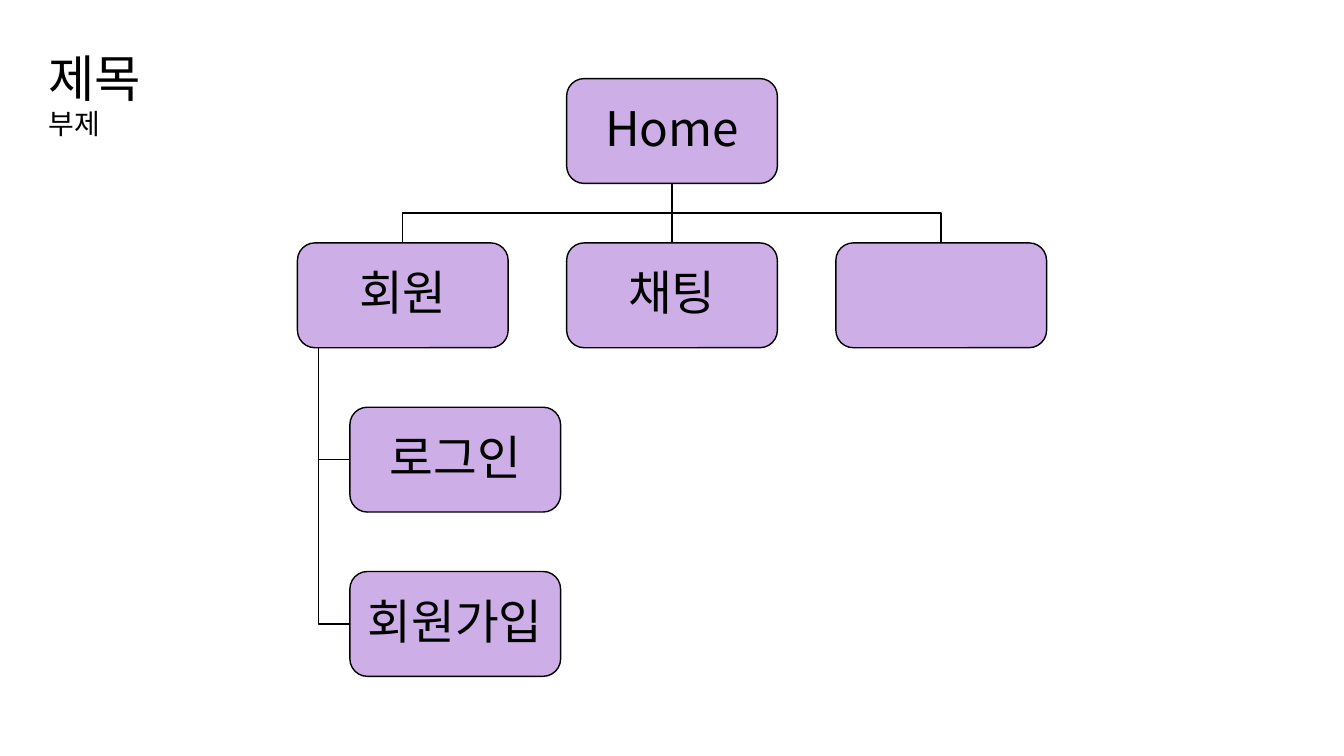
"""Build a sitemap slide with a home page, its sections and member pages."""
from pptx import Presentation
from pptx import util as u
from pptx.dml.color import RGBColor
from pptx.enum import shapes, text
from pptx.oxml import parse_xml
from pptx.oxml.ns import nsdecls


def color(value):
    """Turn a hex string into a colour."""
    return RGBColor.from_string(value)


def assign(target, values):
    """Set each attribute of target from a dict."""
    for name, value in values.items():
        setattr(target, name, value)


class Sitemap:
    """Hold the style and the slide, and draw its elements."""

    font = "Noto Sans CJK KR"
    ink, lilac = "000000", "CEAEE7"
    width, height = 2.09, 1.04
    left, top = 2.95, 0.78
    column, row, indent, stem = 2.67, 1.63, 0.52, 0.21

    def __init__(self, slide):
        """Keep the slide to draw on."""
        self.shapes = slide.shapes

    def place(self, column, row, indent=0):
        """Give the left and top of a grid cell."""
        return self.left + column * self.column + indent, self.top + row * self.row

    def label(self, shape, words, size, frame, paragraph):
        """Put one styled paragraph into a shape."""
        assign(shape.text_frame, {"word_wrap": True, **frame})
        line = shape.text_frame.paragraphs[0]
        assign(line, paragraph)
        run = line.add_run()
        run.text = words
        assign(run.font, {"size": u.Pt(size), "name": self.font})
        run.font.color.rgb = color(self.ink)
        latin = run.font._element.find("{*}latin")
        latin.addnext(parse_xml(f'<a:ea {nsdecls("a")} typeface="{self.font}"/>'))

    def heading(self, words, box, size, anchor, spacing):
        """Add a left-aligned heading."""
        heading = self.shapes.add_textbox(*map(u.Inches, box))
        self.label(heading, words, size, {"vertical_anchor": anchor}, {"line_spacing": spacing})

    def outline(self, shape):
        """Give a shape the thin dark line."""
        shape.line.color.rgb = color(self.ink)
        shape.line.width = u.Pt(1)

    def page(self, words, column, row, indent=0):
        """Add a rounded page box, with its name if it has one."""
        box = (*self.place(column, row, indent), self.width, self.height)
        page = self.shapes.add_shape(shapes.MSO_SHAPE.ROUNDED_RECTANGLE, *map(u.Inches, box))
        page.shadow.inherit = False
        page.fill.solid()
        page.fill.fore_color.rgb = color(self.lilac)
        self.outline(page)
        if words:
            sides = ("margin_left", "margin_top", "margin_right", "margin_bottom")
            frame = dict.fromkeys(sides, u.Inches(0.02))
            frame["vertical_anchor"] = text.MSO_ANCHOR.MIDDLE
            self.label(page, words, 34, frame,
                       {"alignment": text.PP_ALIGN.CENTER, "line_spacing": 0.9})

    def straight(self, start, end):
        """Add a straight connector."""
        link = self.shapes.add_connector(shapes.MSO_CONNECTOR.STRAIGHT,
                                         *map(u.Inches, (*start, *end)))
        self.outline(link)
        link._element.spPr.append(parse_xml(f'<a:effectLst {nsdecls("a")}/>'))

    def bent(self, *points):
        """Add an open line through the points."""
        start, *rest = [tuple(map(u.Inches, point)) for point in points]
        builder = self.shapes.build_freeform(*start)
        builder.add_line_segments(rest, close=False)
        link = builder.convert_to_shape()
        link.shadow.inherit = False
        link.fill.background()
        self.outline(link)

    def branch(self, column):
        """Link the home page to a section in the row below."""
        home_left, home_top = self.place(1, 0)
        section_left, section_top = self.place(column, 1)
        start = (home_left + self.width / 2, home_top + self.height)
        end = (section_left + self.width / 2, section_top)
        if column == 1:
            self.straight(start, end)
        else:
            middle = (start[1] + end[1]) / 2
            self.bent(start, (start[0], middle), (end[0], middle), end)

    def hang(self, row):
        """Link the member section to a page hanging below it."""
        left, top = self.place(0, 1)
        page_left, page_top = self.place(0, row, self.indent)
        stem, level = left + self.stem, page_top + self.height / 2
        self.bent((stem, top + self.height), (stem, level), (page_left, level))


def main():
    """Draw and save the slide."""
    deck = Presentation()
    assign(deck, {"slide_width": u.Inches(13.33), "slide_height": u.Inches(7.5)})
    sitemap = Sitemap(deck.slides.add_slide(deck.slide_layouts[6]))
    sitemap.heading("제목", (0.38, 0.34, 5.73, 0.93), 36, text.MSO_ANCHOR.MIDDLE, 0.9)
    sitemap.heading("부제", (0.38, 1.07, 3.92, 0.4), 20, text.MSO_ANCHOR.TOP, 0.8)
    sections = ["회원", "채팅", ""]
    member_pages = ["로그인", "회원가입"]
    for column in range(len(sections)):
        sitemap.branch(column)
    for row in range(len(member_pages)):
        sitemap.hang(row + 2)
    sitemap.page("Home", 1, 0)
    for column, section in enumerate(sections):
        sitemap.page(section, column, 1)
    for row, member_page in enumerate(member_pages, 2):
        sitemap.page(member_page, 0, row, sitemap.indent)
    deck.save("out.pptx")


if __name__ == "__main__":
    main()
